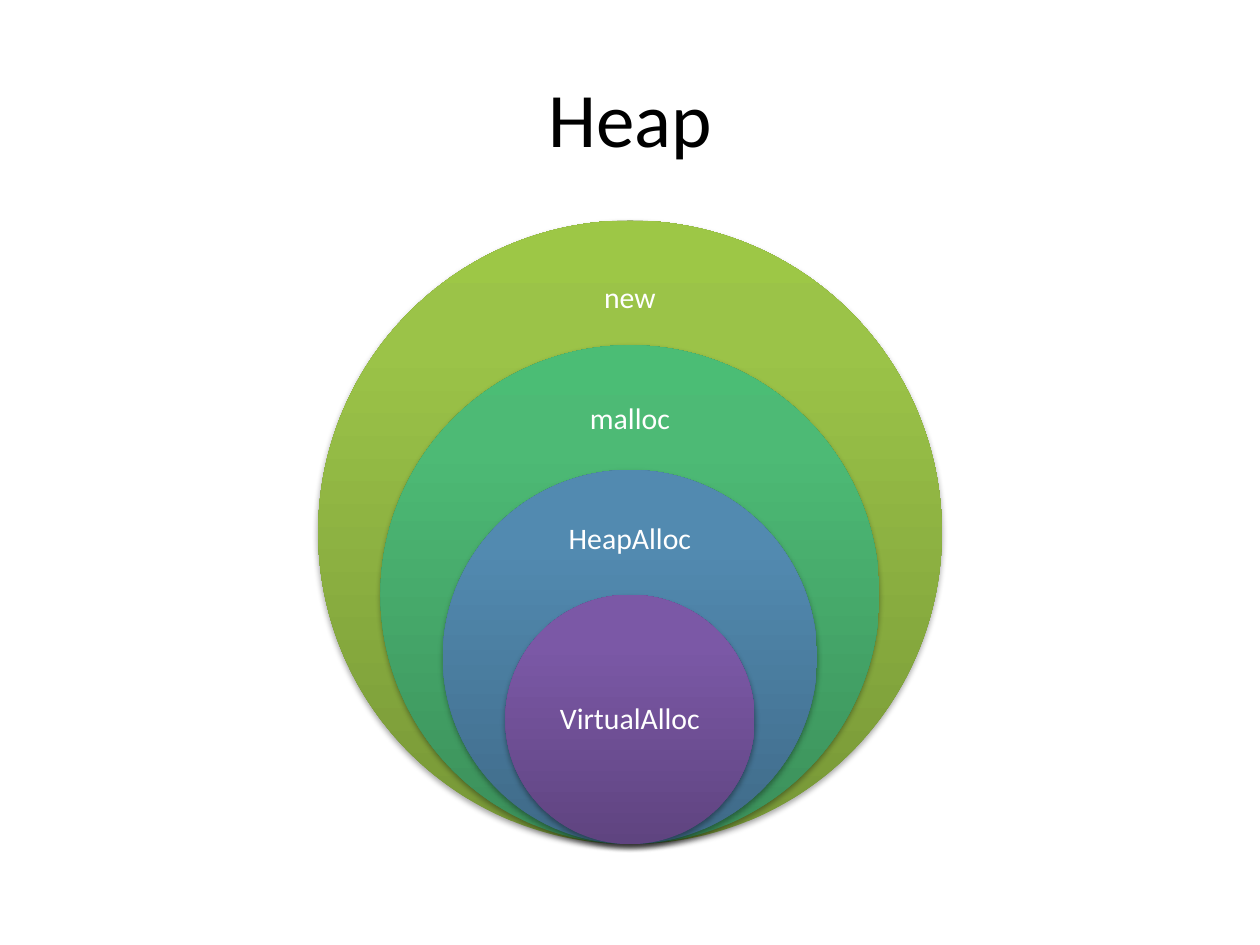
from copy import deepcopy
from dataclasses import dataclass

from lxml.etree import SubElement
from pptx import Presentation
from pptx.dml.color import RGBColor
from pptx.enum.shapes import MSO_SHAPE
from pptx.enum.text import MSO_ANCHOR, PP_ALIGN
from pptx.oxml.ns import qn
from pptx.shapes.autoshape import Shape
from pptx.shapes.shapetree import GroupShapes
from pptx.text.text import TextFrame
from pptx.util import Pt

COLORS = {
    "black": "000000",
    "white": "FFFFFF",
    "green_dark": "779737", "green_mid": "9BC348", "green_light": "9DC746",
    "teal_dark": "3B8F5A", "teal_mid": "4DBA75", "teal_light": "4BBD75",
    "blue_dark": "3F6A88", "blue_mid": "528AB0", "blue_light": "518BB3",
    "purple_dark": "5F4480", "purple_mid": "7B58A6", "purple_light": "7C57A8",
}
FONT = "Calibri"
CENTER = 360
BOTTOM = 482.4
OUTER_DIAMETER = 356.4
DIAMETER_STEP = OUTER_DIAMETER / 5
LABEL_WIDTH = 100
LABEL_INSET = 9.4


@dataclass(frozen=True)
class Layer:
    name: str
    hue: str
    label_offset: float
    label_height: float


LAYERS = [
    Layer("new", "green", 0.05, 0.15),
    Layer("malloc", "teal", 0.06, 0.18),
    Layer("HeapAlloc", "blue", 0.075, 0.225),
    Layer("VirtualAlloc", "purple", 0.25, 0.5),
]


def format_text(frame: TextFrame, size: float, color: str) -> None:
    frame.vertical_anchor = MSO_ANCHOR.MIDDLE
    for para in frame.paragraphs:
        para.alignment = PP_ALIGN.CENTER
        for span in para.runs:
            span.font.name = FONT
            span.font.size = Pt(size)
            span.font.color.rgb = RGBColor.from_string(COLORS[color])


def fill_gradient(shape: Shape, hue: str) -> None:
    shape.fill.gradient()
    shape.fill.gradient_angle = 90
    stop_list = shape.element.spPr.find(".//" + qn("a:gsLst"))
    stop_list.append(deepcopy(stop_list[-1]))
    tones = [("dark", 0), ("mid", 0.8), ("light", 1)]
    for stop, (tone, position) in zip(shape.fill.gradient_stops, tones):
        stop.color.rgb = RGBColor.from_string(COLORS[f"{hue}_{tone}"])
        stop.position = position


def add_shadow(shape: Shape) -> None:
    shape.shadow.inherit = False
    effects = shape.element.spPr.find(qn("a:effectLst"))
    shadow = SubElement(effects, qn("a:outerShdw"), blurRad=str(Pt(3.1)),
                        dist=str(Pt(1.8)), dir="5400000", rotWithShape="0")
    color = SubElement(shadow, qn("a:srgbClr"), val=COLORS["black"])
    SubElement(color, qn("a:alpha"), val="35000")


def add_layer(shapes: GroupShapes, layer: Layer, diameter: float) -> None:
    top = BOTTOM - diameter
    circle = shapes.add_shape(MSO_SHAPE.OVAL, Pt(CENTER - diameter / 2), Pt(top),
                              Pt(diameter), Pt(diameter))
    fill_gradient(circle, layer.hue)
    circle.line.fill.background()
    add_shadow(circle)

    box = shapes.add_textbox(Pt(CENTER - LABEL_WIDTH / 2),
                             Pt(top + diameter * layer.label_offset),
                             Pt(LABEL_WIDTH), Pt(diameter * layer.label_height))
    frame = box.text_frame
    frame.word_wrap = True
    frame.margin_left = frame.margin_right = Pt(LABEL_INSET)
    frame.margin_top = frame.margin_bottom = Pt(LABEL_INSET)
    frame.text = layer.name
    format_text(frame, 17, "white")
    frame.paragraphs[0].line_spacing = 0.9
    frame.paragraphs[0].space_after = Pt(6)


deck = Presentation()
deck.slide_width, deck.slide_height = Pt(720), Pt(540)
page = deck.slides.add_slide(deck.slide_layouts[5])

title = page.shapes.title
title.left, title.top, title.width, title.height = Pt(36), Pt(21.6), Pt(648), Pt(90)
title.text_frame.text = "Heap"
format_text(title.text_frame, 44, "black")

diagram = page.shapes.add_group_shape()
for index, layer in enumerate(LAYERS):
    add_layer(diagram.shapes, layer, OUTER_DIAMETER - index * DIAMETER_STEP)

deck.save("out.pptx")
